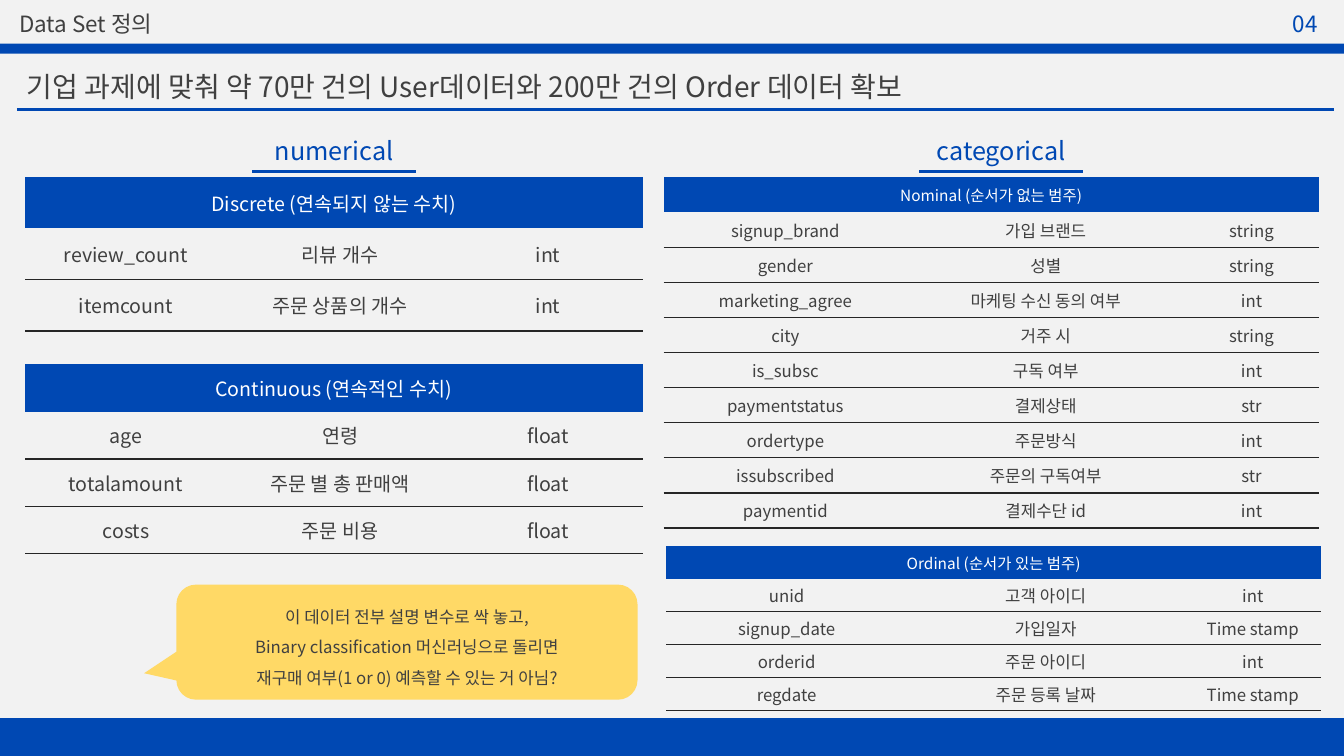
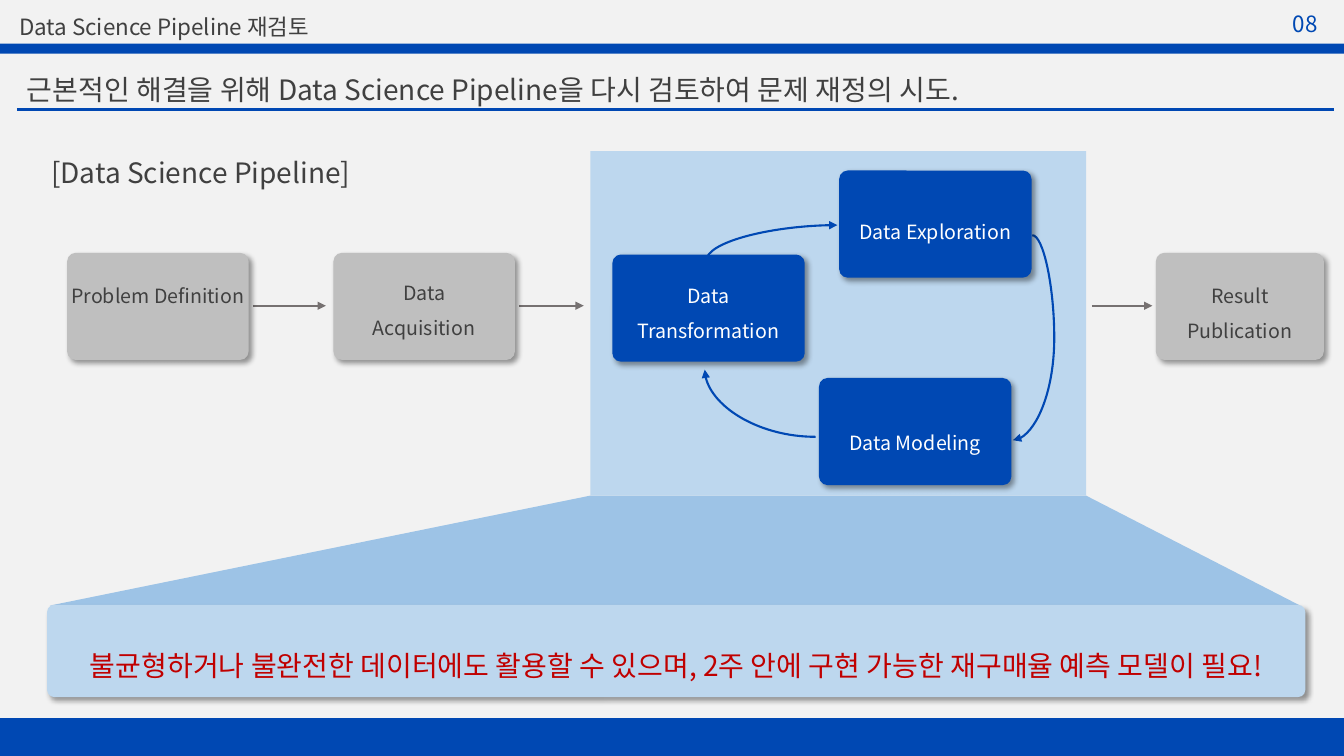
from dataclasses import dataclass

import pptx
import pptx.dml.color
import pptx.enum.dml
import pptx.enum.shapes
import pptx.enum.text
import pptx.oxml.ns
import pptx.oxml.xmlchemy
import pptx.presentation
import pptx.shapes.autoshape
import pptx.shapes.connector
import pptx.slide
import pptx.table
import pptx.util
from lxml import etree
from pptx.enum.shapes import MSO_CONNECTOR, MSO_SHAPE
from pptx.enum.text import MSO_ANCHOR, PP_ALIGN

COLUMNS, ROWS = 160, 90
SLIDE_WIDTH, SLIDE_HEIGHT = pptx.util.Inches(13.333), pptx.util.Inches(7.5)

FONT = "Noto Sans CJK KR"
BLUE, WHITE, PAPER, INK = "0048B3", "FFFFFF", "F2F2F2", "404040"
RULE, GREY, ARROW_GREY = "262626", "BFBFBF", "767171"
PALE_BLUE, MID_BLUE, YELLOW, RED = "BDD7EE", "9DC3E6", "FFD966", "C00000"
NO_TABLE_STYLE = "{2D5ABB26-0587-4C30-8999-92F81FD0307C}"


@dataclass(frozen=True)
class Box:
    """A rectangle in grid columns and rows."""
    left: float
    top: float
    width: float
    height: float

    def place(self) -> tuple[int, int, int, int]:
        return (column(self.left), row(self.top), column(self.width), row(self.height))


@dataclass(frozen=True)
class TextStyle:
    size: float
    color: str = INK
    align: PP_ALIGN = PP_ALIGN.CENTER
    spacing: float = 1.0


@dataclass(frozen=True)
class DataTable:
    heading: str
    left: float
    top: float
    widths: tuple[float, float, float]
    row_height: float
    heading_size: float
    body_size: float
    fields: tuple[tuple[str, str, str], ...]


@dataclass(frozen=True)
class Card:
    """A raised box whose text starts text_top rows below its upper edge."""
    box: Box
    lines: tuple[str, ...]
    fill: str
    style: TextStyle
    text_top: float
    side_inset: float = 1.2


@dataclass(frozen=True)
class CurvedArrow:
    box: Box
    preset: str
    transform: dict[str, str]
    bend: int | None = None


DATA_TABLES = (
    DataTable("Discrete (연속되지 않는 수치)", 3, 21.1, (24, 27, 22.5), 6.1, 14, 14, (
        ("review_count", "리뷰 개수", "int"),
        ("itemcount", "주문 상품의 개수", "int"))),
    DataTable("Continuous (연속적인 수치)", 3, 43.35, (24, 27, 22.5), 5.65, 14, 14, (
        ("age", "연령", "float"),
        ("totalamount", "주문 별 총 판매액", "float"),
        ("costs", "주문 비용", "float"))),
    DataTable("Nominal (순서가 없는 범주)", 79, 21.1, (29, 33, 16), 4.18, 11, 12, (
        ("signup_brand", "가입 브랜드", "string"),
        ("gender", "성별", "string"),
        ("marketing_agree", "마케팅 수신 동의 여부", "int"),
        ("city", "거주 시", "string"),
        ("is_subsc", "구독 여부", "int"),
        ("paymentstatus", "결제상태", "str"),
        ("ordertype", "주문방식", "int"),
        ("issubscribed", "주문의 구독여부", "str"),
        ("paymentid", "결제수단 id", "int"))),
    DataTable("Ordinal (순서가 있는 범주)", 79.3, 65.05, (28.7, 33, 16.3), 3.9, 11, 12, (
        ("unid", "고객 아이디", "int"),
        ("signup_date", "가입일자", "Time stamp"),
        ("orderid", "주문 아이디", "int"),
        ("regdate", "주문 등록 날짜", "Time stamp"))),
)

STEP = TextStyle(14, INK, spacing=1.5)
CORE_STEP = TextStyle(14, WHITE, spacing=1.5)
STEP_TOP, STEP_HEIGHT, CORE_WIDTH = 30.1, 12.75, 22.9
CARDS = (
    Card(Box(8, STEP_TOP, 21.6, STEP_HEIGHT), ("Problem Definition",), GREY, STEP, 2, 0),
    Card(Box(39.7, STEP_TOP, 21.6, STEP_HEIGHT), ("Data", "Acquisition"), GREY, STEP, 1.6),
    Card(Box(72.9, 30.3, CORE_WIDTH, STEP_HEIGHT), ("Data Transformation",), BLUE, CORE_STEP, 1.8),
    Card(Box(99.9, 20.3, CORE_WIDTH, STEP_HEIGHT), ("Data Exploration",), BLUE, CORE_STEP, 4.2),
    Card(Box(97.5, 45, CORE_WIDTH, STEP_HEIGHT), ("Data Modeling",), BLUE, CORE_STEP, 4.6),
    Card(Box(137.6, STEP_TOP, 20, STEP_HEIGHT), ("Result", "Publication"), GREY, STEP, 2),
    Card(Box(5.6, 72, 149.8, 11),
         ("불균형하거나 불완전한 데이터에도 활용할 수 있으며, 2주 안에 구현 가능한 재구매율 예측 모델이 필요!",),
         PALE_BLUE, TextStyle(20, RED, spacing=1.5), 2.9),
)
STEP_ARROWS = ((30.1, 38.8), (61.8, 69.5), (130, 137.2))
CYCLE_ARROWS = (
    CurvedArrow(Box(83.9, 44, 13.2, 8), "curvedConnector2", {"rot": "10800000"}),
    CurvedArrow(Box(89.8, 21.1, 4.2, 15.6), "curvedConnector2",
                {"rot": "5400000", "flipH": "1", "flipV": "1"}),
    CurvedArrow(Box(120.6, 28, 2.3, 24.4), "curvedConnector3", {"flipH": "1"}, -113600),
)


def column(count: float) -> int:
    return round(SLIDE_WIDTH * count / COLUMNS)


def row(count: float) -> int:
    return round(SLIDE_HEIGHT * count / ROWS)


def rgb(value: str) -> pptx.dml.color.RGBColor:
    return pptx.dml.color.RGBColor.from_string(value)


def add_element(parent: etree._Element, tag: str, **attributes: str) -> etree._Element:
    return etree.SubElement(parent, pptx.oxml.ns.qn(tag), attributes)


def write(frame, lines: tuple[str, ...], style: TextStyle) -> None:
    frame.word_wrap = True
    for index, line in enumerate(lines):
        paragraph = frame.add_paragraph() if index else frame.paragraphs[0]
        paragraph.text = line
        paragraph.alignment = style.align
        paragraph.line_spacing = style.spacing
        font = paragraph.font
        font.size = pptx.util.Pt(style.size)
        font.color.rgb = rgb(style.color)
        font.name = FONT
        defaults = paragraph._p.pPr.find(pptx.oxml.ns.qn("a:defRPr"))
        add_element(defaults, "a:ea", typeface=FONT)


def add_text(slide: pptx.slide.Slide, box: Box, text: str, style: TextStyle) -> None:
    write(slide.shapes.add_textbox(*box.place()).text_frame, (text,), style)


def paint(shape: pptx.shapes.autoshape.Shape, fill: str) -> None:
    shape.shadow.inherit = False
    shape.fill.solid()
    shape.fill.fore_color.rgb = rgb(fill)
    shape.line.fill.background()


def add_filled(slide: pptx.slide.Slide, kind: MSO_SHAPE, box: Box,
               fill: str) -> pptx.shapes.autoshape.Shape:
    shape = slide.shapes.add_shape(kind, *box.place())
    paint(shape, fill)
    return shape


def add_line(slide: pptx.slide.Slide, start: tuple[float, float], end: tuple[float, float],
             color: str, width: float, arrow: bool = False,
             kind: MSO_CONNECTOR = MSO_CONNECTOR.STRAIGHT) -> pptx.shapes.connector.Connector:
    line = slide.shapes.add_connector(
        kind, column(start[0]), row(start[1]), column(end[0]), row(end[1]))
    line.line.color.rgb = rgb(color)
    line.line.width = pptx.util.Pt(width)
    properties = line.element.spPr
    if arrow:
        add_element(properties.find(pptx.oxml.ns.qn("a:ln")), "a:tailEnd", type="triangle")
    add_element(properties, "a:effectLst")
    return line


def add_curved_arrow(slide: pptx.slide.Slide, arrow: CurvedArrow) -> None:
    box = arrow.box
    line = add_line(slide, (box.left, box.top), (box.left + box.width, box.top + box.height),
                    BLUE, 1.5, True, MSO_CONNECTOR.CURVE)
    properties = line.element.spPr
    for name, value in arrow.transform.items():
        properties.find(pptx.oxml.ns.qn("a:xfrm")).set(name, value)
    geometry = properties.find(pptx.oxml.ns.qn("a:prstGeom"))
    geometry.set("prst", arrow.preset)
    if arrow.bend is not None:
        guides = geometry.find(pptx.oxml.ns.qn("a:avLst"))
        add_element(guides, "a:gd", name="adj1", fmla=f"val {arrow.bend}")


def add_card(slide: pptx.slide.Slide, card: Card) -> None:
    shape = add_filled(slide, MSO_SHAPE.ROUNDED_RECTANGLE, card.box, card.fill)
    shape.adjustments[0] = 0.08
    effects = shape.element.spPr.find(pptx.oxml.ns.qn("a:effectLst"))
    shadow = add_element(effects, "a:outerShdw", blurRad=str(pptx.util.Pt(4)),
                         dist=str(pptx.util.Pt(3)), dir="2700000", algn="tl", rotWithShape="0")
    add_element(add_element(shadow, "a:srgbClr", val="000000"), "a:alpha", val="40000")
    frame = shape.text_frame
    frame.vertical_anchor = MSO_ANCHOR.TOP
    frame.margin_top, frame.margin_bottom = row(card.text_top), 0
    frame.margin_left = frame.margin_right = column(card.side_inset)
    write(frame, card.lines, card.style)


def fill_cell(cell: pptx.table._Cell, text: str, style: TextStyle) -> None:
    cell.vertical_anchor = MSO_ANCHOR.MIDDLE
    cell.margin_left = cell.margin_right = column(0.25)
    cell.margin_top = cell.margin_bottom = row(0.15)
    write(cell.text_frame, (text,), style)


def add_bottom_rule(cell: pptx.table._Cell) -> None:
    line = add_element(cell._tc.get_or_add_tcPr(), "a:lnB", w=str(pptx.util.Pt(1)))
    add_element(add_element(line, "a:solidFill"), "a:srgbClr", val=RULE)


def add_data_table(slide: pptx.slide.Slide, data: DataTable) -> None:
    count = len(data.fields) + 1
    box = Box(data.left, data.top, sum(data.widths), count * data.row_height)
    table = slide.shapes.add_table(count, len(data.widths), *box.place()).table
    table.first_row = table.horz_banding = False
    table._tbl.tblPr.find(pptx.oxml.ns.qn("a:tableStyleId")).text = NO_TABLE_STYLE
    for table_column, width in zip(table.columns, data.widths):
        table_column.width = column(width)
    for table_row in table.rows:
        table_row.height = row(data.row_height)
    heading = table.cell(0, 0)
    heading.merge(table.cell(0, len(data.widths) - 1))
    heading.fill.solid()
    heading.fill.fore_color.rgb = rgb(BLUE)
    fill_cell(heading, data.heading, TextStyle(data.heading_size, WHITE))
    for row_index, field in enumerate(data.fields, 1):
        for column_index, text in enumerate(field):
            cell = table.cell(row_index, column_index)
            fill_cell(cell, text, TextStyle(data.body_size))
            add_bottom_rule(cell)
            cell.fill.background()


def move_bands_to_layout(slide: pptx.slide.Slide, layout: pptx.slide.SlideLayout) -> None:
    """Draw the bands and headline rule on the slide, then hand them to its layout."""
    bands = (
        add_line(slide, (2, 13), (158.8, 13), BLUE, 2.25),
        add_filled(slide, MSO_SHAPE.RECTANGLE, Box(0, 85.5, COLUMNS, 4.5), BLUE),
        add_filled(slide, MSO_SHAPE.RECTANGLE, Box(0, 5.2, COLUMNS, 1.2), BLUE),
    )
    for number, band in enumerate(bands, 100):
        band.element.xpath(".//p:cNvPr")[0].set("id", str(number))
        layout.shapes.element.append(band.element)


def add_page(presentation: pptx.presentation.Presentation, topic: str, topic_top: float,
             headline: str, headline_top: float, number: str) -> pptx.slide.Slide:
    slide = presentation.slides.add_slide(presentation.slide_layouts[5])
    title = slide.shapes.title
    title.left, title.top, title.width, title.height = Box(2, headline_top, 150, 5.3).place()
    title.text_frame.auto_size = pptx.enum.text.MSO_AUTO_SIZE.NONE
    title.text_frame.vertical_anchor = MSO_ANCHOR.TOP
    write(title.text_frame, (headline,), TextStyle(20, align=PP_ALIGN.LEFT))
    add_text(slide, Box(1.1, topic_top, 60, 4.4), topic, TextStyle(16, align=PP_ALIGN.LEFT))
    add_text(slide, Box(152, 0.6, 6.8, 4.4), number, TextStyle(16, BLUE))
    return slide


def draw_data_set(slide: pptx.slide.Slide) -> None:
    for center, text in ((39.8, "numerical"), (119.2, "categorical")):
        add_text(slide, Box(center - 30, 15.5, 60, 4.8), text, TextStyle(18, BLUE))
        add_line(slide, (center - 9.75, 20.4), (center + 9.75, 20.4), BLUE, 2.25)
    for data in DATA_TABLES:
        add_data_table(slide, data)
    callout = add_filled(slide, MSO_SHAPE.ROUNDED_RECTANGULAR_CALLOUT,
                         Box(21, 69.6, 54.9, 13.7), YELLOW)
    for index, value in enumerate((-0.57, 0.27, 0.17)):
        callout.adjustments[index] = value
    callout.text_frame.vertical_anchor = MSO_ANCHOR.MIDDLE
    write(callout.text_frame, ("이 데이터 전부 설명 변수로 싹 놓고,",
                               "Binary classification 머신러닝으로 돌리면",
                               "재구매 여부(1 or 0) 예측할 수 있는 거 아님?"),
          TextStyle(12, spacing=1.5))


def draw_pipeline(slide: pptx.slide.Slide) -> None:
    outline = [(column(x), row(y)) for x, y in ((70.3, 59), (129.3, 59), (154.8, 72.1), (5.9, 72.1))]
    builder = slide.shapes.build_freeform(*outline[0])
    builder.add_line_segments(outline[1:], close=True)
    paint(builder.convert_to_shape(), MID_BLUE)
    add_filled(slide, MSO_SHAPE.RECTANGLE, Box(70.3, 18, 59, 41), PALE_BLUE)
    add_text(slide, Box(4.9, 17.9, 43, 5.3), "[Data Science Pipeline]",
             TextStyle(20, align=PP_ALIGN.LEFT))
    for start, end in STEP_ARROWS:
        add_line(slide, (start, 36.4), (end, 36.4), ARROW_GREY, 1.5, True)
    for arrow in CYCLE_ARROWS:
        add_curved_arrow(slide, arrow)
    for card in CARDS:
        add_card(slide, card)


def main() -> None:
    presentation = pptx.Presentation()
    presentation.slide_width, presentation.slide_height = SLIDE_WIDTH, SLIDE_HEIGHT
    layout = presentation.slide_layouts[5]
    layout.background.fill.solid()
    layout.background.fill.fore_color.rgb = rgb(PAPER)
    data_set = add_page(presentation, "Data Set 정의", 0.6,
                        "기업 과제에 맞춰 약 70만 건의 User데이터와 200만 건의 Order 데이터 확보", 7.7, "04")
    move_bands_to_layout(data_set, layout)
    draw_data_set(data_set)
    pipeline = add_page(presentation, "Data Science Pipeline 재검토", 1,
                        "근본적인 해결을 위해 Data Science Pipeline을 다시 검토하여 문제 재정의 시도.", 8, "08")
    draw_pipeline(pipeline)
    presentation.save("out.pptx")


if __name__ == "__main__":
    main()
